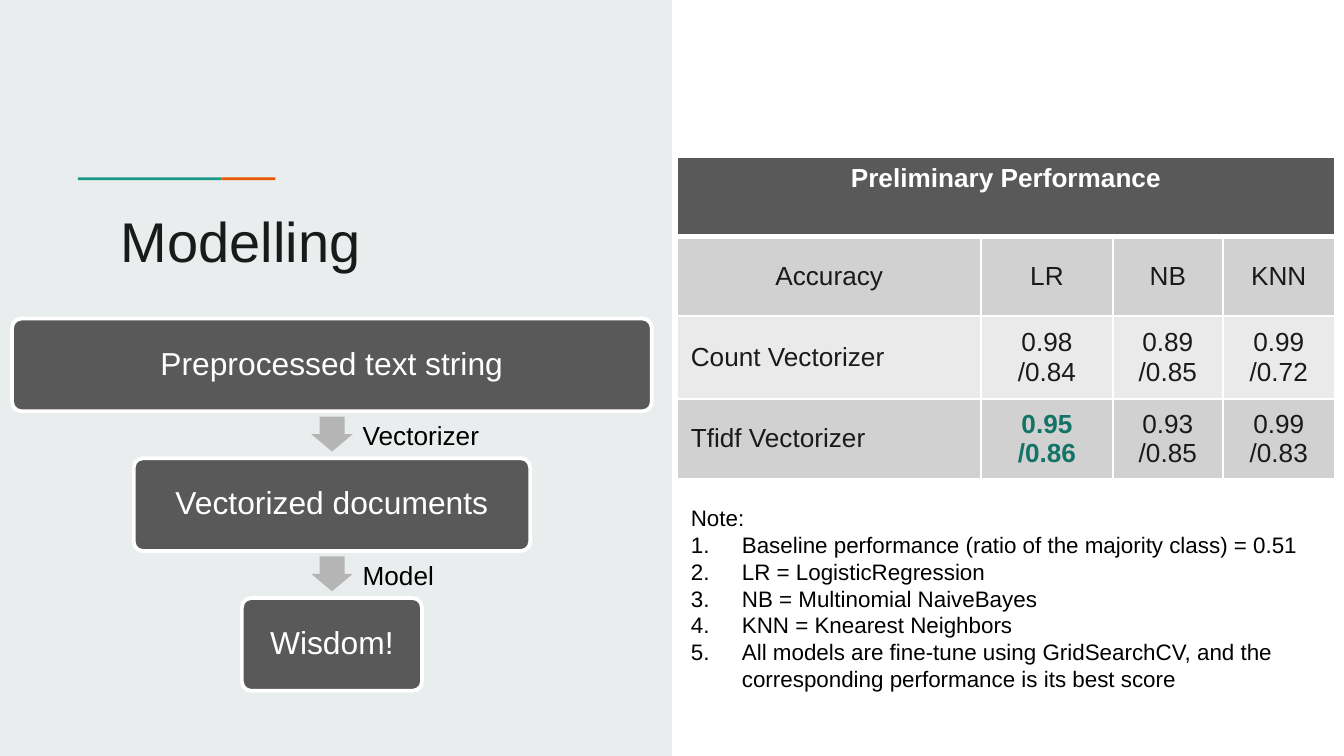
import pptx
import pptx.dml.color
import pptx.enum.shapes
import pptx.enum.text
import pptx.oxml
import pptx.oxml.ns
import pptx.util

Inches = pptx.util.Inches
Pt = pptx.util.Pt
SHAPE = pptx.enum.shapes.MSO_SHAPE
ALIGN = pptx.enum.text.PP_ALIGN
ANCHOR = pptx.enum.text.MSO_ANCHOR
AUTO = pptx.enum.text.MSO_AUTO_SIZE

SLIDE_WIDTH = 10
SLIDE_HEIGHT = SLIDE_WIDTH * 9 / 16

STAGES = [("Preprocessed text string", 4.76), ("Vectorized documents", 2.95), ("Wisdom!", 1.34)]
STEPS = [("Vectorizer", 1.08), ("Model", 0.73)]
SCORES = [
    ["Accuracy", "LR", "NB", "KNN"],
    ["Count Vectorizer", "0.98\n/0.84", "0.89\n/0.85", "0.99\n/0.72"],
    ["Tfidf Vectorizer", "0.95\n/0.86", "0.93\n/0.85", "0.99\n/0.83"],
]
BEST = "0.95\n/0.86"
NOTES = [
    "Baseline performance (ratio of the majority class) = 0.51",
    "LR = LogisticRegression",
    "NB = Multinomial NaiveBayes",
    "KNN = Knearest Neighbors",
    "All models are fine-tune using GridSearchCV, and the corresponding performance is its best score",
]


def rgb(value):
    return pptx.dml.color.RGBColor.from_string(value)


def xml(tag, attributes="", content=""):
    """Parse one element of the drawing namespace."""
    namespace = pptx.oxml.ns.nsdecls("a")
    return pptx.oxml.parse_xml(f"<a:{tag} {namespace} {attributes}>{content}</a:{tag}>")


class Deck:
    font = "Arial"
    dark = "595959"
    ink = "1A1A1A"
    black = "000000"
    white = "FFFFFF"

    def __init__(self):
        self.presentation = pptx.Presentation()
        self.presentation.slide_width = Inches(SLIDE_WIDTH)
        self.presentation.slide_height = Inches(SLIDE_HEIGHT)
        self.slide = self.presentation.slides.add_slide(self.presentation.slide_layouts[1])

    def style(self, paragraph, size, color, align=ALIGN.LEFT, bold=False):
        paragraph.alignment = align
        paragraph.font.name = self.font
        paragraph.font.size = Pt(size)
        paragraph.font.bold = bold
        paragraph.font.color.rgb = rgb(color)

    def place(self, shape, left, top, width, height):
        shape.left, shape.top = Inches(left), Inches(top)
        shape.width, shape.height = Inches(width), Inches(height)

    def shape(self, kind, left, top, width, height, fill):
        shape = self.slide.shapes.add_shape(
            kind, Inches(left), Inches(top), Inches(width), Inches(height))
        shape.shadow.inherit = False
        shape.fill.solid()
        shape.fill.fore_color.rgb = rgb(fill)
        shape.line.fill.background()
        return shape

    def stage(self, text, center, top, width, height):
        box = self.shape(SHAPE.ROUNDED_RECTANGLE, center - width / 2, top, width, height, self.dark)
        box.adjustments[0] = 0.1
        box.line.color.rgb = rgb(self.white)
        box.line.width = Pt(2)
        frame = box.text_frame
        frame.margin_left = frame.margin_right = Inches(0.07)
        frame.vertical_anchor = ANCHOR.MIDDLE
        frame.text = text
        frame.paragraphs[0].line_spacing = 0.9
        self.style(frame.paragraphs[0], 17, self.white, ALIGN.CENTER)

    def down_arrow(self, center, top, width, height):
        """Turn a right arrow by 90 degrees; width and height are as seen."""
        left, turned_top = center - height / 2, top + (height - width) / 2
        arrow = self.shape(SHAPE.RIGHT_ARROW, left, turned_top, height, width, "B5B5B5")
        arrow.adjustments[0] = 0.6
        arrow.rotation = 90

    def label(self, text, left, top, width, height):
        box = self.slide.shapes.add_textbox(
            Inches(left), Inches(top), Inches(width), Inches(height))
        box.text_frame.word_wrap = False
        box.text_frame.auto_size = AUTO.SHAPE_TO_FIT_TEXT
        box.text_frame.text = text
        self.style(box.text_frame.paragraphs[0], 14, self.black)

    def title(self, text, *area):
        title = self.slide.shapes.title
        self.place(title, *area)
        frame = title.text_frame
        frame.auto_size = AUTO.NONE
        frame.vertical_anchor = ANCHOR.TOP
        frame.margin_left = frame.margin_right = Inches(0.1)
        frame.margin_top = frame.margin_bottom = Inches(0.1)
        frame.text = text
        self.style(frame.paragraphs[0], 30, self.ink)

    def numbered_notes(self, heading, notes, *area):
        body = self.slide.placeholders[1]
        self.place(body, *area)
        frame = body.text_frame
        frame.auto_size = AUTO.NONE
        frame.text = "\n".join([heading] + notes)
        for index, paragraph in enumerate(frame.paragraphs):
            indent = Inches(0.38) if index else 0
            properties = paragraph._p.get_or_add_pPr()
            properties.set("marL", str(indent))
            properties.set("indent", str(-indent))
            if index:
                properties.append(xml("buClr", "", f'<a:srgbClr val="{self.black}"/>'))
                properties.append(xml("buFont", f'typeface="{self.font}"'))
                properties.append(xml("buAutoNum", 'type="arabicPeriod"'))
            else:
                properties.append(xml("buNone"))
            paragraph.space_before = Pt(0)
            self.style(paragraph, 12, self.black)

    def cell(self, cell, text, fill, color, align, bold=False, bottom=1):
        properties = cell._tc.get_or_add_tcPr()
        line = f'<a:solidFill><a:srgbClr val="{self.white}"/></a:solidFill>'
        for side, width in (("L", 1), ("R", 1), ("T", 1), ("B", bottom)):
            properties.append(xml(f"ln{side}", f'w="{Pt(width)}"', line))
        cell.fill.solid()
        cell.fill.fore_color.rgb = rgb(fill)
        cell.text = text
        for paragraph in cell.text_frame.paragraphs:
            self.style(paragraph, 14, color, align, bold)

    def score_table(self, heading, rows, left, top, widths, heights):
        table = self.slide.shapes.add_table(
            len(heights), len(widths), Inches(left), Inches(top),
            Inches(sum(widths)), Inches(sum(heights))).table
        for column, width in zip(table.columns, widths):
            column.width = Inches(width)
        for row, height in zip(table.rows, heights):
            row.height = Inches(height)
        table.cell(0, 0).merge(table.cell(0, len(widths) - 1))
        for column in range(len(widths)):
            self.cell(table.cell(0, column), "" if column else heading,
                      self.dark, self.white, ALIGN.CENTER, True, bottom=3)
        for r, row in enumerate(rows, 1):
            for c, text in enumerate(row):
                cell = table.cell(r, c)
                best = text == BEST
                row_name = c == 0 and r > 1
                self.cell(cell, text, "D1D1D1" if r % 2 else "EAEAEA",
                          "137366" if best else self.ink,
                          ALIGN.LEFT if row_name else ALIGN.CENTER, best)
                cell.vertical_anchor = ANCHOR.MIDDLE


def main():
    deck = Deck()
    panel = deck.shape(SHAPE.RECTANGLE, 0, 0, SLIDE_WIDTH / 2, SLIDE_HEIGHT, "E9EDEE")
    # The panel lies behind the placeholders.
    deck.slide.shapes._spTree.insert(2, panel._element)
    deck.shape(SHAPE.RECTANGLE, 0.58, 1.32, 1.07, 0.02, "1A9988")
    deck.shape(SHAPE.RECTANGLE, 1.65, 1.32, 0.4, 0.02, "EB5600")
    deck.title("Modelling", 0.8, 1.44, 3.61, 1.85)

    center, first_top, pitch = 2.47, 2.37, 1.04
    for index, (text, width) in enumerate(STAGES):
        deck.stage(text, center, first_top + index * pitch, width, 0.69)
    for index, (text, width) in enumerate(STEPS):
        top = first_top + index * pitch
        deck.down_arrow(center, top + 0.73, 0.31, 0.26)
        deck.label(text, 2.6, top + 0.7, width, 0.34)

    deck.score_table("Preliminary Performance", SCORES, 5.04, 1.17,
                     [2.26, 0.98, 0.82, 0.83], [0.59, 0.59, 0.62, 0.59])
    deck.numbered_notes("Note:", NOTES, 5.04, 3.7, 4.96, 1.72)
    deck.presentation.save("out.pptx")


if __name__ == "__main__":
    main()
